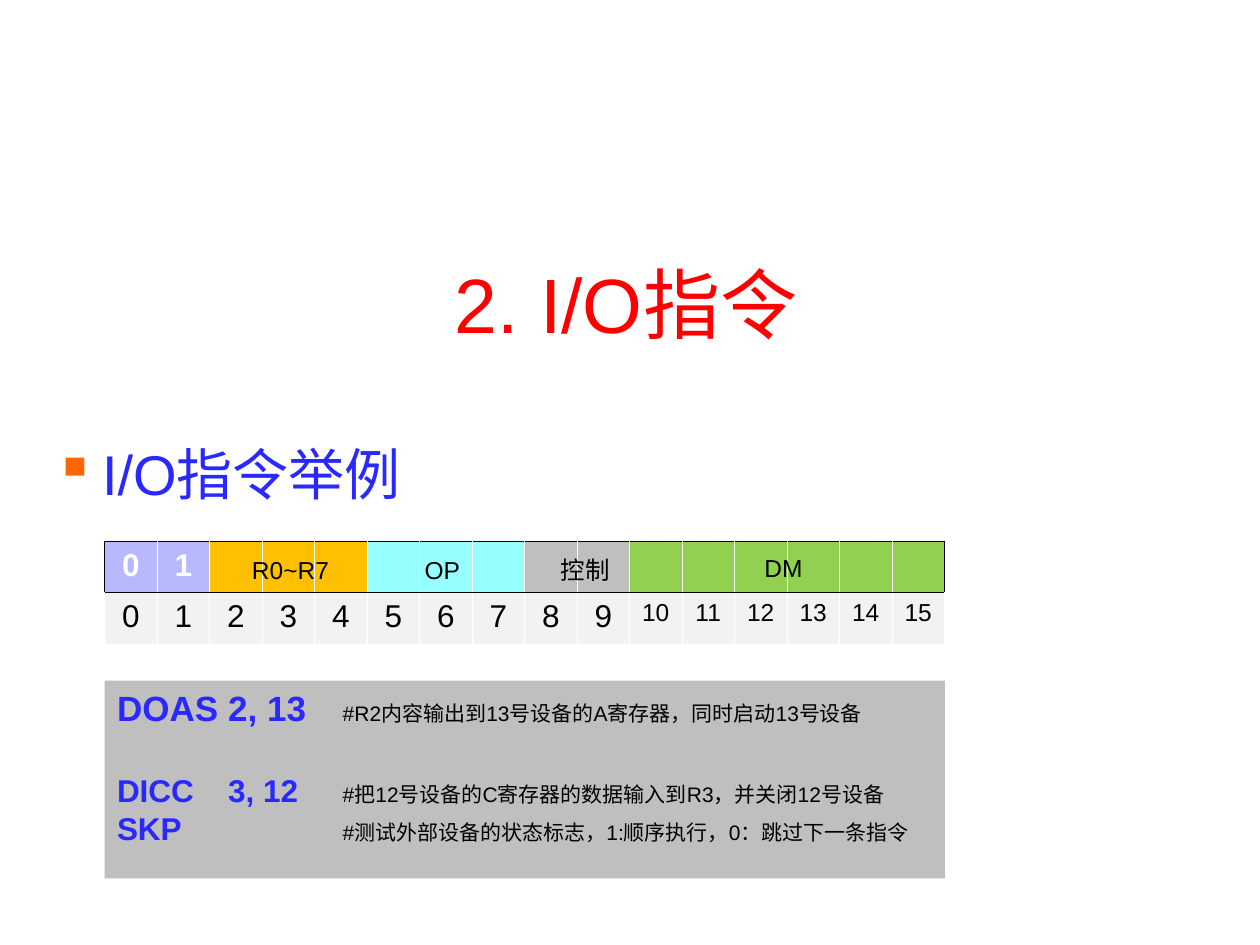
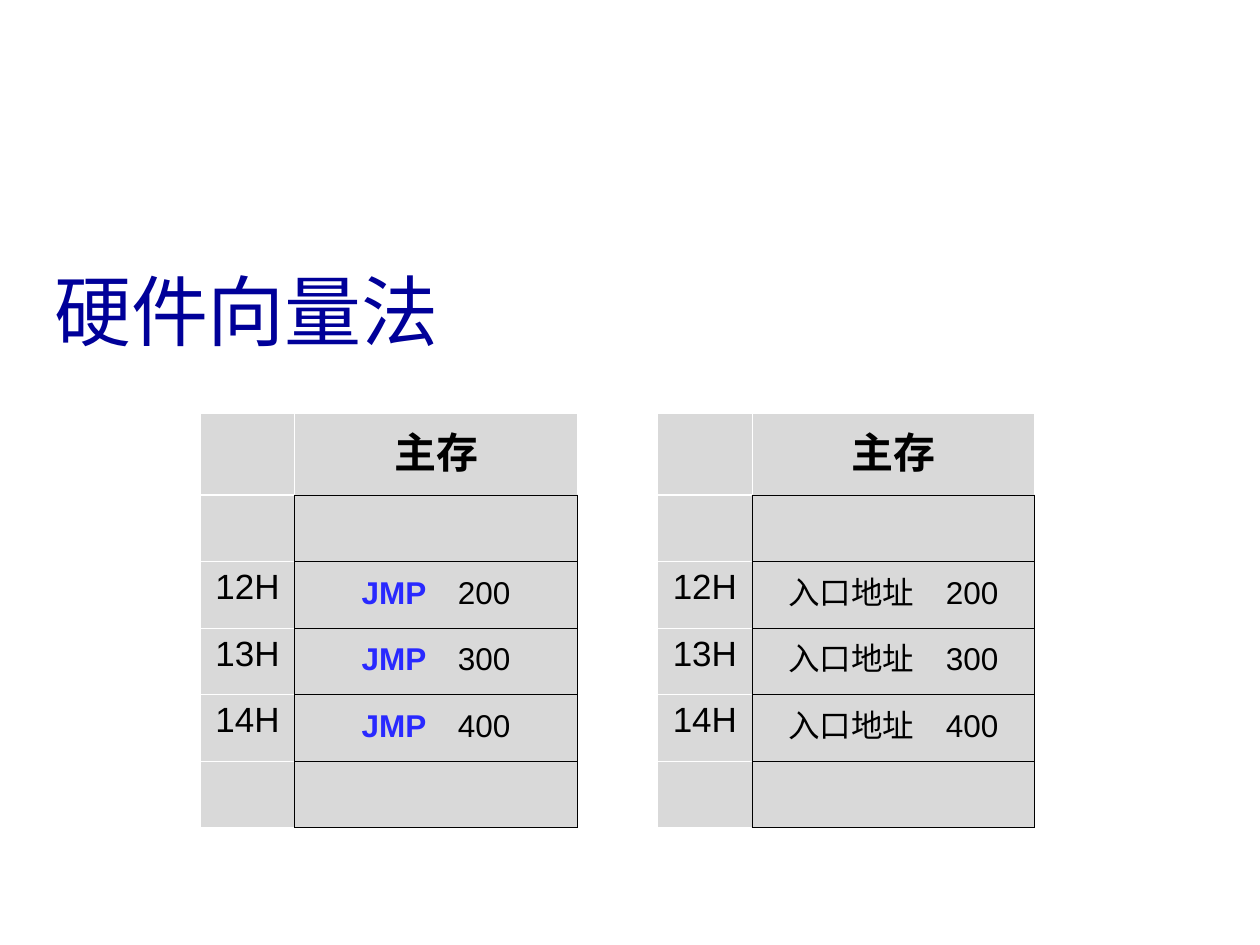
from lxml import etree
from pptx import Presentation
from pptx.dml.color import RGBColor
from pptx.enum.shapes import MSO_SHAPE
from pptx.enum.text import MSO_ANCHOR, PP_ALIGN
from pptx.oxml.ns import qn
from pptx.util import Cm, Pt

LEFT, MID = PP_ALIGN.LEFT, PP_ALIGN.CENTER
TOP, CENTRE = MSO_ANCHOR.TOP, MSO_ANCHOR.MIDDLE
RECT = MSO_SHAPE.RECTANGLE

BLACK = RGBColor(0x00, 0x00, 0x00)
WHITE = RGBColor(0xFF, 0xFF, 0xFF)
RED = RGBColor(0xFF, 0x00, 0x00)
NAVY = RGBColor(0x00, 0x00, 0x99)
BLUE = RGBColor(0x29, 0x29, 0xFF)
ORANGE = RGBColor(0xFF, 0x66, 0x00)
LILAC = RGBColor(0xB8, 0xB8, 0xFF)
GOLD = RGBColor(0xFF, 0xC0, 0x00)
CYAN = RGBColor(0x96, 0xFF, 0xFF)
GREEN = RGBColor(0x92, 0xD0, 0x50)
GREY = RGBColor(0xBF, 0xBF, 0xBF)
SILVER = RGBColor(0xD9, 0xD9, 0xD9)
PALE = RGBColor(0xF2, 0xF2, 0xF2)

THIN, THICK = 0.45, 1.47


def style(font, size, color, bold=False):
    font.name = "Arial"
    font.size = Pt(size)
    font.color.rgb = color
    font.bold = bold


def dress(cell, fill, **edges):
    """Fill a cell and draw its edges L, R, T, B as (colour, points); thin white if not given."""
    props = cell._tc.get_or_add_tcPr()
    for side in "LRTB":
        color, width = edges.get(side, (WHITE, THIN))
        line = etree.SubElement(props, qn(f"a:ln{side}"), w=str(Pt(width)))
        solid = etree.SubElement(line, qn("a:solidFill"))
        etree.SubElement(solid, qn("a:srgbClr"), val=str(color))
    cell.fill.solid()
    cell.fill.fore_color.rgb = fill


deck = Presentation()
deck.slide_width, deck.slide_height = Cm(25.4), Cm(19.05)
blank = deck.slide_layouts[6]

# Titles
slides = []
for text, color, align, x, y in [
    ("2. I/O指令", RED, MID, 0.76, 4.52),
    ("硬件向量法", NAVY, LEFT, 0.84, 4.65),
]:
    slide = deck.slides.add_slide(blank)
    slides.append(slide)
    frame = slide.shapes.add_textbox(Cm(x), Cm(y), Cm(23.72), Cm(3.18)).text_frame
    frame.word_wrap = True
    frame.vertical_anchor = CENTRE
    para = frame.paragraphs[0]
    para.text = text
    para.alignment = align
    style(para.font, 44, color)

# Slide 1: bullet line
shapes = slides[0].shapes
frame = shapes.add_textbox(Cm(0.84), Cm(8.74), Cm(23.72), Cm(7.65)).text_frame
frame.word_wrap = True
para = frame.paragraphs[0]
para.text = "I/O指令举例"
props = para._p.get_or_add_pPr()
props.set("marL", str(Cm(0.97)))
props.set("indent", str(-Cm(0.97)))
tint = etree.SubElement(props, qn("a:buClr"))
etree.SubElement(tint, qn("a:srgbClr"), val=str(ORANGE))
etree.SubElement(props, qn("a:buChar"), char="▪")
style(para.font, 32, BLUE)

# Slide 1: bit layout of the instruction word
fills = [LILAC] * 2 + [GOLD] * 3 + [CYAN] * 3 + [GREY] * 2 + [GREEN] * 6
bits = len(fills)
left, wide = Cm(2.11), Cm(16.94)
table = shapes.add_table(2, bits, left, Cm(10.92), wide, Cm(2.06)).table
table.first_row = table.horz_banding = False
for row in table.rows:
    row.height = Cm(1.03)
dark = (BLACK, THIN)
for bit, fill in enumerate(fills):
    table.columns[bit].width = wide // bits
    edges = {"T": dark, "B": dark}
    if bit == 0:
        edges["L"] = dark
    if bit == bits - 1:
        edges["R"] = dark
    code, index = table.cell(0, bit), table.cell(1, bit)
    dress(code, fill, **edges)
    dress(index, PALE, T=dark)
    para = index.text_frame.paragraphs[0]
    para.text = str(bit)
    para.alignment = MID
    style(para.font, 18 if bit < 10 else 14, BLACK)
    if bit < 2:
        para = code.text_frame.paragraphs[0]
        para.text = str(bit)
        para.alignment = MID
        style(para.font, 18, WHITE, True)

for text, x, y, w in [
    ("R0~R7", 4.83, 11.07, 2.06),
    ("OP", 8.31, 11.07, 1.22),
    ("控制", 11.05, 11.07, 1.5),
    ("DM", 15.16, 11.02, 1.27),
]:
    frame = shapes.add_textbox(Cm(x), Cm(y), Cm(w), Cm(0.86)).text_frame
    frame.word_wrap = False
    para = frame.paragraphs[0]
    para.text = text
    style(para.font, 14, BLACK)

# Slide 1: sample code
panel = shapes.add_shape(RECT, left, Cm(13.72), wide, Cm(3.99))
panel.shadow.inherit = False
panel.fill.solid()
panel.fill.fore_color.rgb = GREY
panel.line.fill.background()
frame = panel.text_frame
frame.word_wrap = True
frame.vertical_anchor = TOP
for row, (code, size, gap, note) in enumerate([
    ("DOAS\t2, 13\t", 20, 0, "#R2内容输出到13号设备的A寄存器，同时启动13号设备"),
    ("DICC\t3, 12\t", 18, 24, "#把12号设备的C寄存器的数据输入到R3，并关闭12号设备"),
    ("SKP\t\t", 18, 0, "#测试外部设备的状态标志，1:顺序执行，0：跳过下一条指令"),
]):
    para = frame.paragraphs[0] if row == 0 else frame.add_paragraph()
    para.alignment = LEFT
    if gap:
        para.space_before = Pt(gap)
    stops = etree.SubElement(para._p.get_or_add_pPr(), qn("a:tabLst"))
    for stop in (2.24, 4.55):
        etree.SubElement(stops, qn("a:tab"), pos=str(Cm(stop)), algn="l")
    for text, points, color, bold in [(code, size, BLUE, True), (note, 12, BLACK, False)]:
        run = para.add_run()
        run.text = text
        style(run.font, points, color, bold)

# Slide 2: main memory holding jumps, then entry addresses
vectors = {2: ("12H", "200"), 3: ("13H", "300"), 4: ("14H", "400")}
for x, lead, color, bold in [(4.04, "JMP", BLUE, True), (13.26, "入口地址", BLACK, False)]:
    table = slides[1].shapes.add_table(6, 2, Cm(x), Cm(8.33), Cm(7.6), Cm(8.35)).table
    table.first_row = table.horz_banding = False
    table.columns[0].width, table.columns[1].width = Cm(1.9), Cm(5.7)
    for row in range(6):
        table.rows[row].height = Cm(1.34 if row else 1.65)
        label, word = table.cell(row, 0), table.cell(row, 1)
        if row == 0:
            dress(label, SILVER, B=(WHITE, THICK))
            dress(word, SILVER, B=dark)
            para = word.text_frame.paragraphs[0]
            para.text = "主存"
            para.alignment = MID
            style(para.font, 24, BLACK, True)
            continue
        dress(label, SILVER, R=dark, T=(WHITE, THICK if row == 1 else THIN))
        dress(word, SILVER, L=dark, R=dark, T=dark, B=dark)
        if row in vectors:
            name, entry = vectors[row]
            para = label.text_frame.paragraphs[0]
            para.text = name
            para.alignment = MID
            style(para.font, 20, BLACK)
            para = word.text_frame.paragraphs[0]
            para.alignment = MID
            for text, ink, heavy in [(lead + "　", color, bold), (entry, BLACK, False)]:
                run = para.add_run()
                run.text = text
                style(run.font, 18, ink, heavy)

deck.save("out.pptx")
